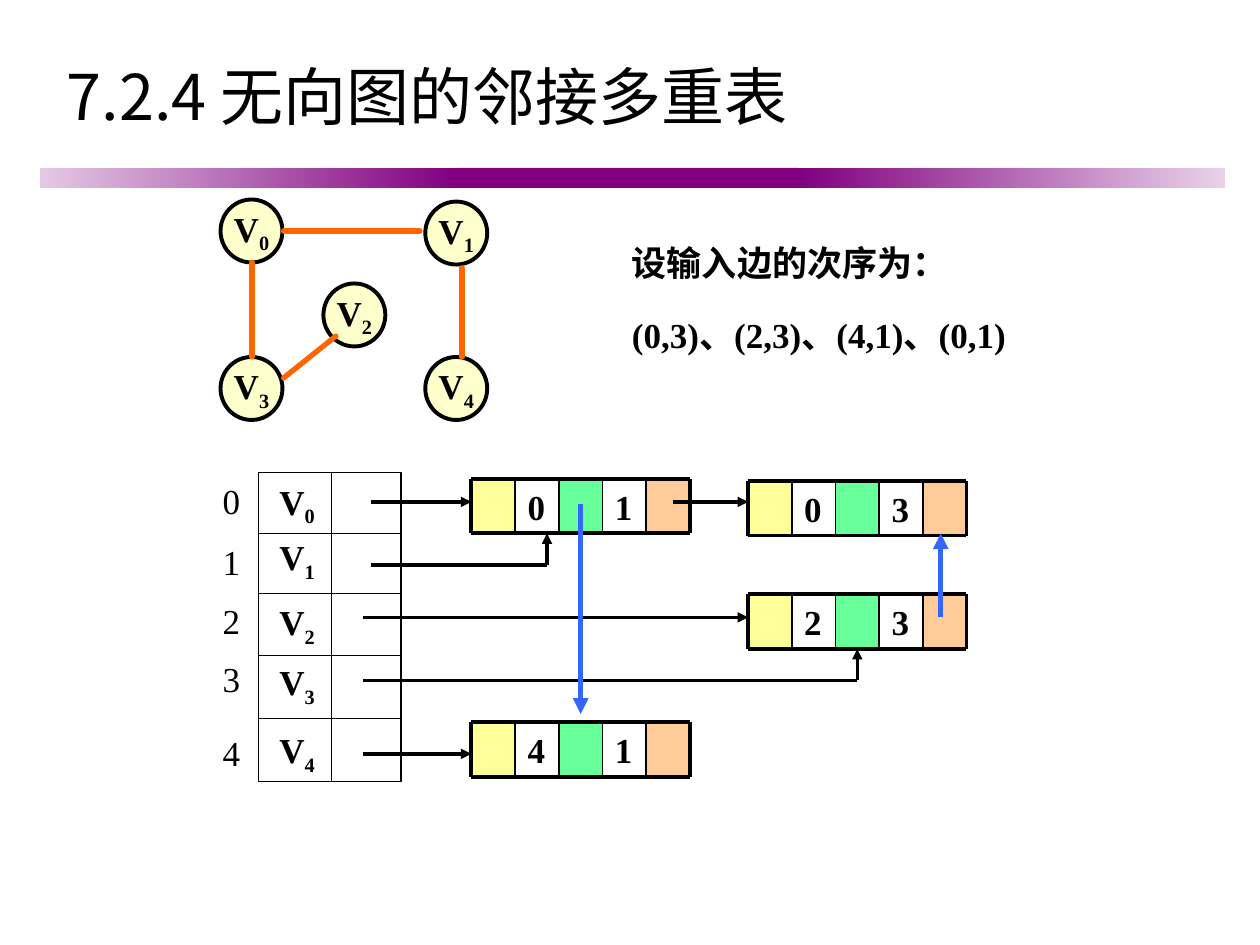
from dataclasses import dataclass

from lxml.etree import SubElement
from pptx import Presentation
from pptx.dml.color import RGBColor
from pptx.enum.shapes import MSO_CONNECTOR, MSO_SHAPE
from pptx.enum.text import MSO_ANCHOR, PP_ALIGN
from pptx.oxml.ns import qn
from pptx.util import Inches, Length, Pt

BLACK, PURPLE, ORANGE, BLUE = "000000", "800080", "FF6600", "3366FF"
SERIF, SANS = "Times New Roman", "Noto Sans CJK JP"
COLUMNS, ROWS = 120, 90  # the slide's grid, twelve units to the inch
CELL_WIDTH, CELL_HEIGHT = 4.16, 5.2
FIRST_RECORD, SECOND_RECORD = 44.9, 71.25
POINTER_WIDTH = 2


@dataclass
class Vertex:
    number: int
    column: float
    row: float


@dataclass
class TableRow:
    index_top: float
    name_top: float


@dataclass
class EdgeRecord:
    column: float
    row: float
    start: int
    end: int


@dataclass
class Line:
    x1: float
    y1: float
    x2: float
    y2: float
    arrow: bool = False
    color: str = BLACK
    width: float = POINTER_WIDTH


VERTICES = [Vertex(0, 21, 19), Vertex(4, 40.5, 34), Vertex(2, 30.8, 27),
            Vertex(1, 40.5, 19.2), Vertex(3, 21, 34)]
GRAPH_EDGES = [(27, 22, 40, 22), (24, 25, 24, 34), (44, 25.5, 44, 34), (32, 32, 27, 36)]
TABLE_ROWS = [TableRow(45, 45.1), TableRow(50.8, 50.4), TableRow(56.4, 56.6),
              TableRow(62, 62.3), TableRow(69, 68.8)]
RECORDS = [EdgeRecord(FIRST_RECORD, 68.8, 4, 1), EdgeRecord(SECOND_RECORD, 56.6, 2, 3),
           EdgeRecord(SECOND_RECORD, 45.8, 0, 3), EdgeRecord(FIRST_RECORD, 45.6, 0, 1)]
POINTERS = [
    Line(34.6, 71.8, FIRST_RECORD, 71.8, True),
    Line(34.6, 58.8, SECOND_RECORD, 58.8, True),
    Line(34.6, 64.8, 81.65, 64.8),
    Line(35.3, 53.8, 52.1, 53.8),
    Line(52.1, 53.8, 52.1, 50.8, True),
    Line(64.1, 47.8, SECOND_RECORD, 47.8, True),
    Line(35.3, 47.8, FIRST_RECORD, 47.8, True),
    Line(89.6, 58.8, 89.6, 50.8, True, BLUE, 3),
    Line(55.3, 48, 55.3, 68, True, BLUE, 3),
]

presentation = Presentation()
presentation.slide_width, presentation.slide_height = Inches(10), Inches(7.5)
slide = presentation.slides.add_slide(presentation.slide_layouts[6])


def rgb(color: str) -> RGBColor:
    return RGBColor.from_string(color)


def across(columns: float) -> Length:
    return Length(round(presentation.slide_width * columns / COLUMNS))


def down(rows: float) -> Length:
    return Length(round(presentation.slide_height * rows / ROWS))


def place(column: float, row: float, width: float, height: float) -> tuple:
    return across(column), down(row), across(width), down(height)


def style_paragraph(paragraph, size=20, bold=True, name=SERIF) -> None:
    font = paragraph.font
    font.size, font.bold, font.name = Pt(size), bold, name
    font.color.rgb = rgb(BLACK)


def add_box(*area: float, fill="", outline=0.0, kind=MSO_SHAPE.RECTANGLE):
    shape = slide.shapes.add_shape(kind, *place(*area))
    shape.shadow.inherit = False
    if fill:
        shape.fill.solid()
        shape.fill.fore_color.rgb = rgb(fill)
    else:
        shape.fill.background()
    if outline:
        shape.line.color.rgb = rgb(BLACK)
        shape.line.width = Pt(outline)
    else:
        shape.line.fill.background()
    return shape


def add_gradient(*area: float, start: str, end: str) -> None:
    fill = add_box(*area, fill=start).fill
    fill.gradient()
    fill.gradient_angle = 0
    for stop, color in zip(fill.gradient_stops, (start, end)):
        stop.color.rgb = rgb(color)


def add_text(text: str, *area: float, **style):
    """Add a wrapping text box with one styled paragraph."""
    frame = slide.shapes.add_textbox(*place(*area)).text_frame
    frame.word_wrap = True
    frame.text = text
    style_paragraph(frame.paragraphs[0], **style)
    return frame


def center(frame) -> None:
    frame.word_wrap = False
    frame.vertical_anchor = MSO_ANCHOR.MIDDLE
    frame.paragraphs[0].alignment = PP_ALIGN.CENTER


def write_vertex_name(frame, number: int) -> None:
    """Write V with the number as a subscript."""
    center(frame)
    paragraph = frame.paragraphs[0]
    style_paragraph(paragraph)
    paragraph.add_run().text = "V"
    subscript = paragraph.add_run()
    subscript.text = str(number)
    subscript._r.get_or_add_rPr().set("baseline", "-25000")


def add_line(line: Line, round_ends=False):
    connector = slide.shapes.add_connector(
        MSO_CONNECTOR.STRAIGHT, across(line.x1), down(line.y1), across(line.x2), down(line.y2))
    connector.line.color.rgb = rgb(line.color)
    connector.line.width = Pt(line.width)
    outline = connector.line._get_or_add_ln()
    if round_ends:
        outline.set("cap", "rnd")
    if line.arrow:
        SubElement(outline, qn("a:tailEnd"), type="triangle")
    SubElement(connector._element.spPr, qn("a:effectLst"))
    return connector


def add_record(record: EdgeRecord):
    """Draw a five-cell edge record and return its middle cell."""
    columns = [record.column + CELL_WIDTH * step for step in range(6)]
    left, right = columns[0], columns[-1]
    top, bottom = record.row, record.row + CELL_HEIGHT
    _, middle, _ = [add_box(columns[step], top, CELL_WIDTH, CELL_HEIGHT, fill=color)
                    for step, color in ((0, "FFFF99"), (2, "66FF99"), (4, "FFCC99"))]
    for step, number in ((1, record.start), (3, record.end)):
        add_text(str(number), columns[step], top, CELL_WIDTH, CELL_HEIGHT)
    for row in (top, bottom):
        add_line(Line(left, row, right, row, width=2.25))
    for column in columns:
        add_line(Line(column, top, column, bottom, width=2.25 if column in (left, right) else 1))
    return middle


def add_vertex_table() -> None:
    add_box(24.6, 45, 13.6, 29.4, outline=0.75)
    for row in (50.8, 56.5, 62.4, 68.4):
        add_line(Line(24.6, row, 38.2, row, width=0.75))
    add_line(Line(31.6, 45, 31.6, 74.4, width=0.75))
    for number, row in enumerate(TABLE_ROWS):
        center(add_text(str(number), 20, row.index_top, 4.1, 5.3, bold=False))
        name_box = slide.shapes.add_textbox(*place(25.4, row.name_top, 5.8, 5.8))
        write_vertex_name(name_box.text_frame, number)


def add_headings() -> None:
    add_gradient(3.8, 16, 39.7, 1.9, start="E4C9E4", end=PURPLE)
    add_box(43.5, 16, 32.5, 1.9, fill=PURPLE)
    add_gradient(76, 16, 40.7, 1.9, start=PURPLE, end="E9D2E9")
    title = add_text("7.2.4 无向图的邻接多重表", 5.2, 4.3, 108.7, 9.6, size=36, bold=False, name=SANS)
    title.vertical_anchor = MSO_ANCHOR.MIDDLE
    order = add_text("设输入边的次序为：", 59, 22, 40, 17.3)
    order.paragraphs[0].line_spacing = 1.1
    edges = order.add_paragraph()
    edges.text = "(0,3)、(2,3)、(4,1)、(0,1)"
    edges.line_spacing, edges.space_before = 1.2, Pt(12.5)
    style_paragraph(edges)


def main() -> None:
    add_headings()
    for vertex in VERTICES:
        circle = add_box(vertex.column, vertex.row, 5.9, 6, fill="FFFFCC", outline=2.25,
                         kind=MSO_SHAPE.OVAL)
        write_vertex_name(circle.text_frame, vertex.number)
    for ends in GRAPH_EDGES:
        add_line(Line(*ends, color=ORANGE, width=3), round_ends=True)
    add_vertex_table()
    middle_cells = [add_record(record) for record in RECORDS]
    for pointer in POINTERS:
        add_line(pointer)
    upward = add_line(Line(81.65, 64.8, 81.65, 61.8, True))
    upward.end_connect(middle_cells[1], 2)
    presentation.save("out.pptx")


if __name__ == "__main__":
    main()
